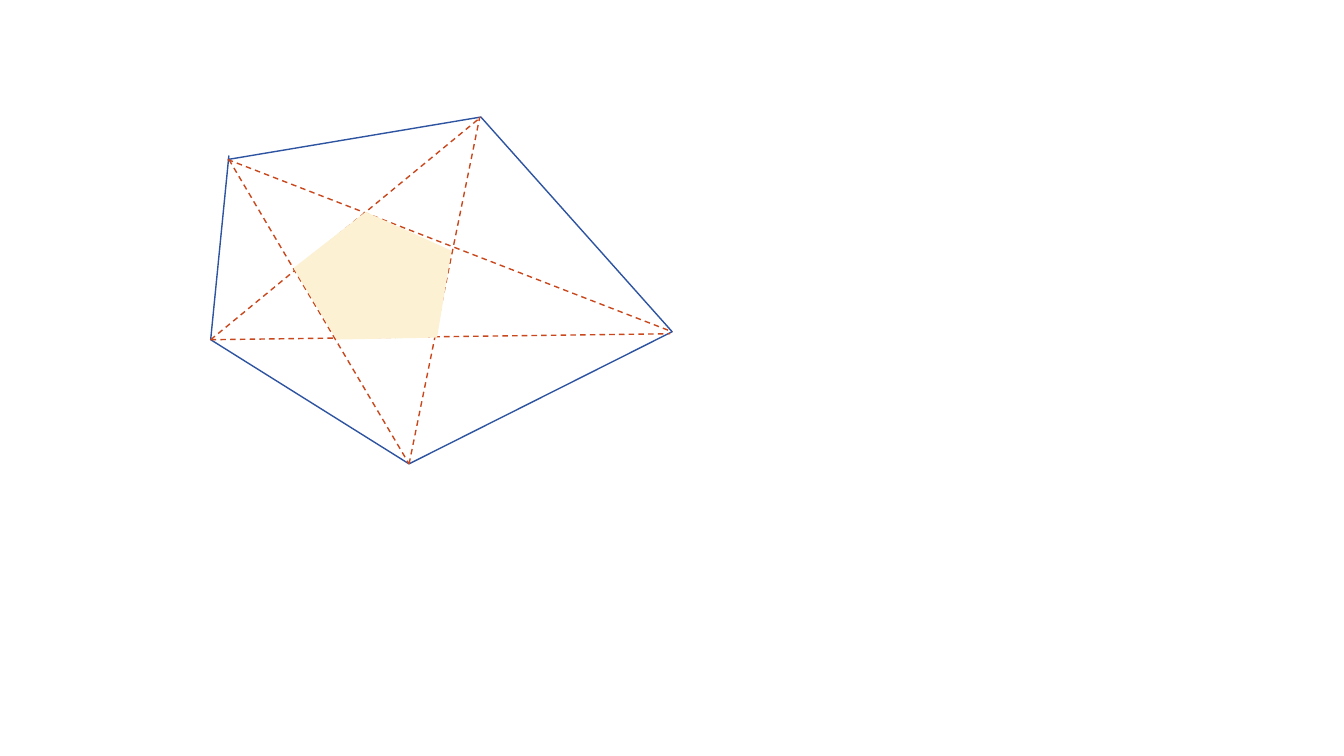
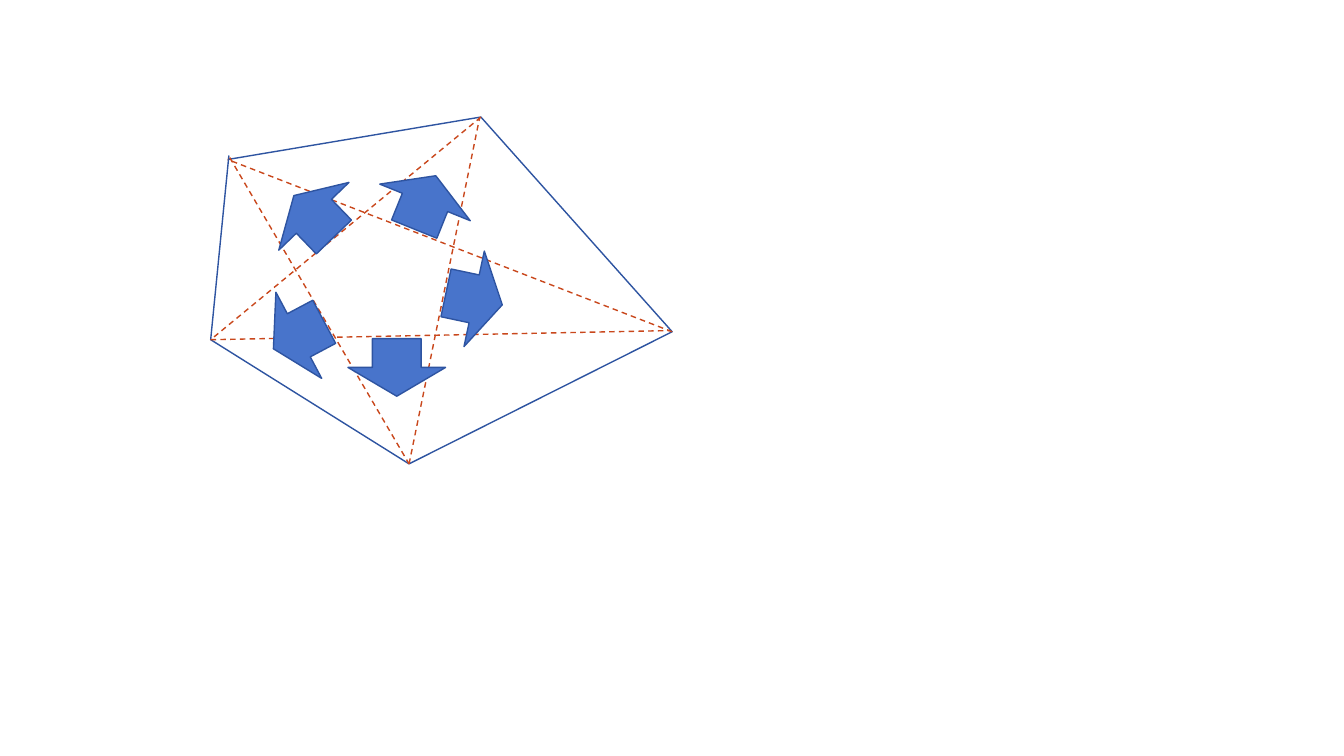
import dataclasses

import lxml.etree
import pptx
import pptx.dml.color
import pptx.enum.dml
import pptx.enum.shapes
import pptx.oxml.ns
import pptx.util

Cm = pptx.util.Cm


@dataclasses.dataclass(frozen=True)
class Theme:
    edge: str = "2E54A1"
    diagonal: str = "C9471C"
    core: str = "FCF1D2"
    arrow: str = "4874CB"
    stroke: float = 1


@dataclasses.dataclass(frozen=True)
class Box:
    left: float
    top: float

    def place(self, point):
        return Cm(self.left + point[0]), Cm(self.top + point[1])


THEME = Theme()
PENTAGON_BOX = Box(5.31, 2.95)

UPPER_LEFT = (0.43, 1.07)
TOP = (6.81, 0)
RIGHT = (11.63, 5.41)
BOTTOM = (5, 8.74)
LEFT = (0, 5.61)
OUTLINE_END = (0.46, 0.97)
BELOW_TOP = (6.78, 0)

CORE_CORNERS = [(3.91, 2.41), (6.05, 3.38), (5.69, 5.54), (3.18, 5.59), (2.11, 3.81)]
CORE_DIAGONALS = [
    (UPPER_LEFT, RIGHT),
    ((0.46, 1.07), BOTTOM),
    (LEFT, (11.58, 5.46)),
    (LEFT, TOP),
    (BOTTOM, BELOW_TOP),
]
ARROW_DIAGONALS = [
    (RIGHT, UPPER_LEFT),
    (BOTTOM, BELOW_TOP),
    (TOP, LEFT),
    ((0.48, 1.02), BOTTOM),
    (LEFT, (11.58, 5.38)),
]
ARROW_SIZE = (2.46, 1.45)
ARROWS = [
    ((5.4, 2.15), 202),
    ((2.6, 2.5), 136),
    ((2.22, 5.5), 62),
    ((4.69, 6.31), 0),
    ((6.64, 4.58), 282),
]


def set_line(line, color):
    line.color.rgb = pptx.dml.color.RGBColor.from_string(color)
    line.width = pptx.util.Pt(THEME.stroke)


def set_shape(shape, fill, edge):
    if fill:
        shape.fill.solid()
        shape.fill.fore_color.rgb = pptx.dml.color.RGBColor.from_string(fill)
    else:
        shape.fill.background()
    set_line(shape.line, edge)
    shape.shadow.inherit = False


def draw_polygon(slide, box, corners, fill, edge, close):
    start, *others = [box.place(corner) for corner in corners]
    builder = slide.shapes.build_freeform(*start)
    builder.add_line_segments(others, close=close)
    set_shape(builder.convert_to_shape(), fill, edge)


def draw_diagonal(slide, box, start, end):
    diagonal = slide.shapes.add_connector(
        pptx.enum.shapes.MSO_CONNECTOR.STRAIGHT, *box.place(start), *box.place(end)
    )
    set_line(diagonal.line, THEME.diagonal)
    diagonal.line.dash_style = pptx.enum.dml.MSO_LINE.DASH
    lxml.etree.SubElement(diagonal._element.spPr, pptx.oxml.ns.qn("a:effectLst"))


def draw_pentagram(slide, box, diagonals):
    outline = [UPPER_LEFT, TOP, RIGHT, BOTTOM, LEFT, OUTLINE_END]
    draw_polygon(slide, box, outline, None, THEME.edge, close=False)
    for start, end in diagonals:
        draw_diagonal(slide, box, start, end)


def draw_arrows(slide, box):
    width, height = ARROW_SIZE
    for (x, y), rotation in ARROWS:
        left, top = box.place((x - width / 2, y - height / 2))
        arrow = slide.shapes.add_shape(
            pptx.enum.shapes.MSO_SHAPE.DOWN_ARROW, left, top, Cm(width), Cm(height)
        )
        arrow.rotation = rotation
        set_shape(arrow, THEME.arrow, THEME.edge)


def add_blank_slide(deck):
    return deck.slides.add_slide(deck.slide_layouts[6])


def build_core_slide(deck, box):
    slide = add_blank_slide(deck)
    draw_pentagram(slide, box, CORE_DIAGONALS)
    draw_polygon(slide, box, CORE_CORNERS, THEME.core, THEME.core, close=True)


def build_arrow_slide(deck, box):
    slide = add_blank_slide(deck)
    draw_pentagram(slide, box, ARROW_DIAGONALS)
    draw_arrows(slide, box)


def main():
    deck = pptx.Presentation()
    deck.slide_width = Cm(33.87)
    deck.slide_height = Cm(19.05)
    build_core_slide(deck, PENTAGON_BOX)
    build_arrow_slide(deck, PENTAGON_BOX)
    deck.save("out.pptx")


if __name__ == "__main__":
    main()
